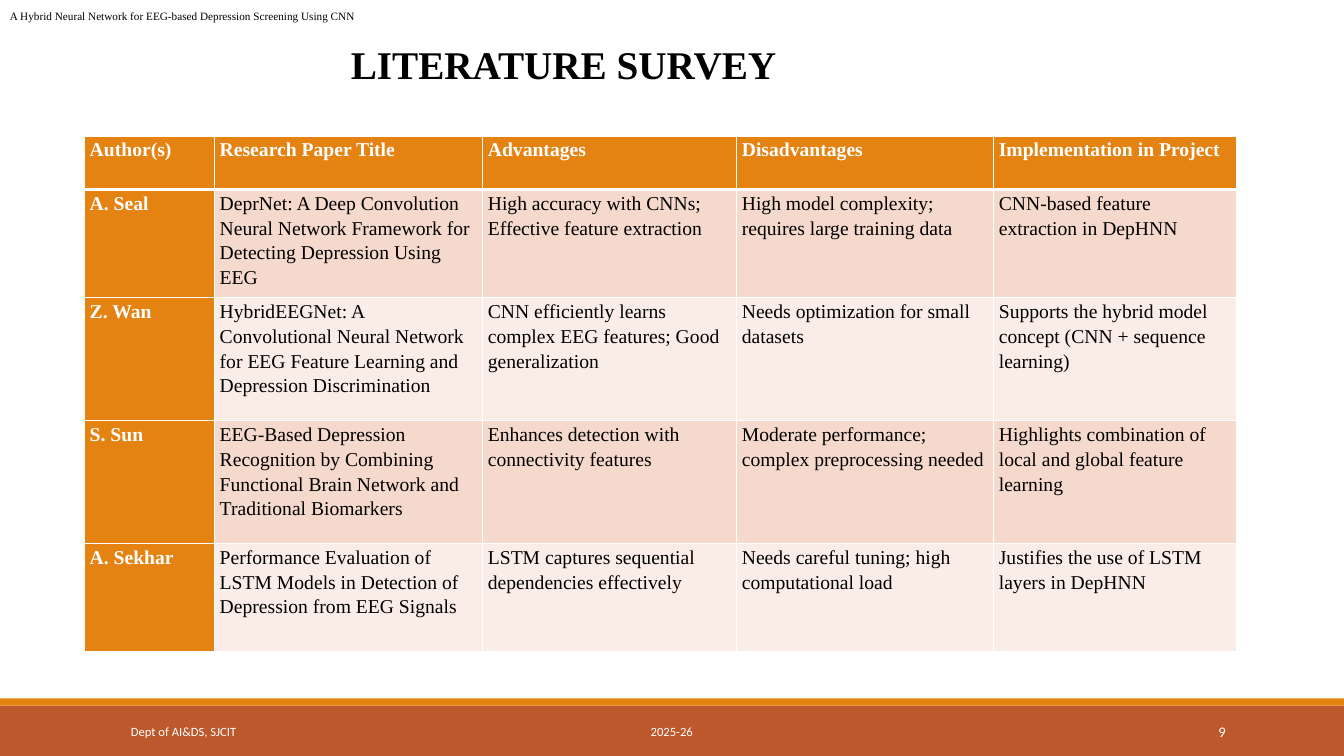
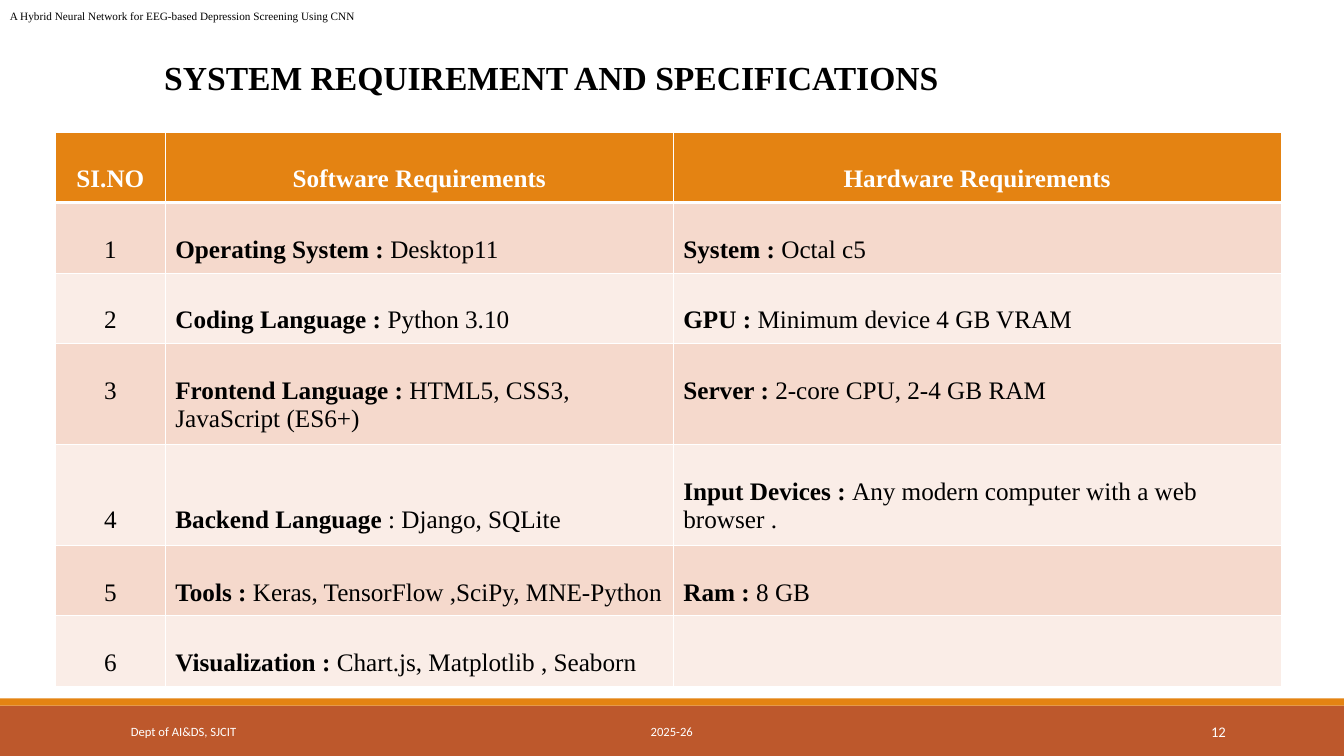
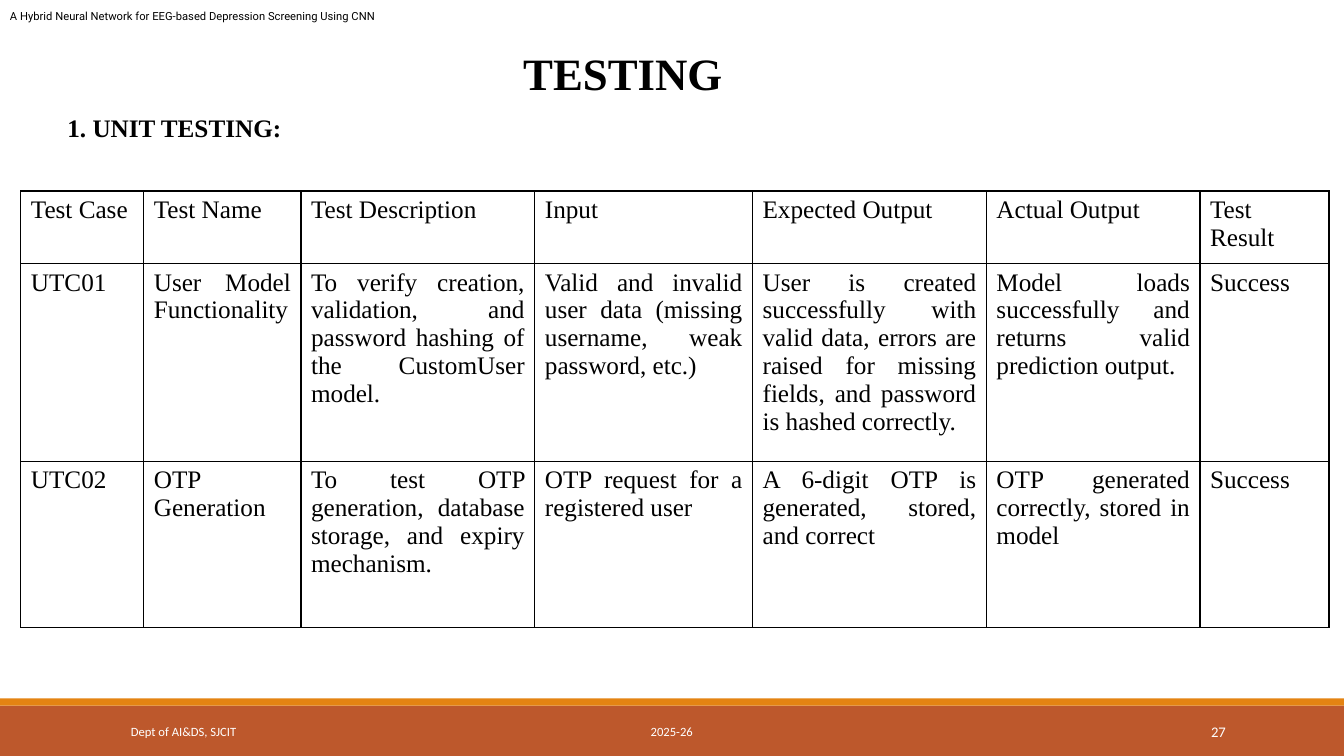
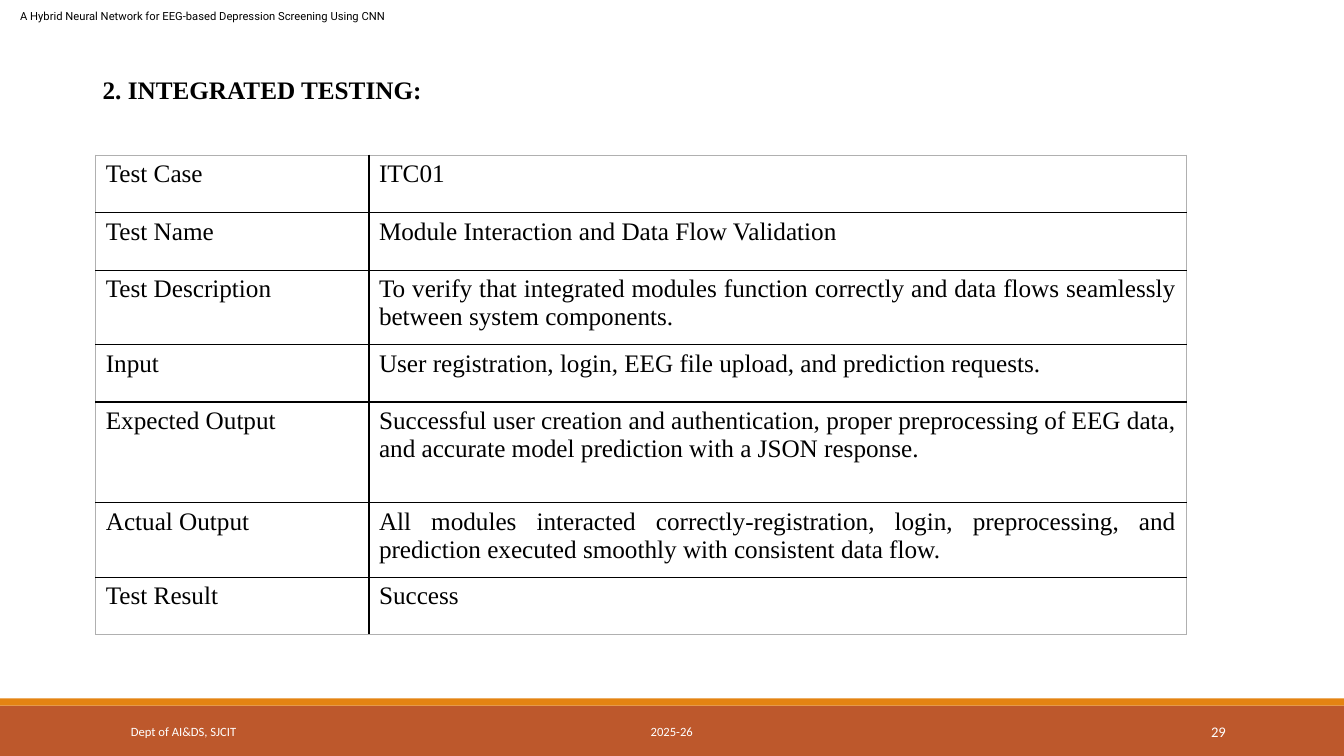
"""Builds four slides of literature, requirement and testing tables."""
from lxml.etree import SubElement
from pptx import Presentation
from pptx.dml.color import RGBColor
from pptx.enum.shapes import MSO_SHAPE as Shape
from pptx.enum.text import MSO_ANCHOR as Anchor, PP_ALIGN as Align
from pptx.oxml.ns import qn
from pptx.util import Inches, Pt

COLORS = {
    "white": "FFFFFF",
    "black": "000000",
    "gray": "B0B0B0",
    "orange": "E48312",
    "rust": "BD582C",
    "peach": "F5D9CC",
    "blush": "FAEDE7",
}
SERIF = "Times New Roman"
HEADER = "A Hybrid Neural Network for EEG-based Depression Screening Using CNN"

presentation = Presentation()
presentation.slide_width = Inches(13.333)
presentation.slide_height = Inches(7.5)
COLUMN = presentation.slide_width / 40
ROW = presentation.slide_height / 30


def write(frame, text, lead="", size=18, font=SERIF, color="black", bold=False,
          align=Align.LEFT, spacing=None, after=None):
    """Fill the first paragraph of a frame, with an optional bold lead-in."""
    frame.word_wrap = True
    paragraph = frame.paragraphs[0]
    paragraph.alignment = align
    paragraph.line_spacing = spacing
    paragraph.space_after = None if after is None else Pt(after)
    for part, is_bold in ((lead, True), (text, bold)):
        if part:
            run = paragraph.add_run()
            run.text = part
            run.font.size = Pt(size)
            run.font.name = font
            run.font.bold = is_bold
            run.font.color.rgb = RGBColor.from_string(COLORS[color])


def place(left, top, width, height):
    """Turn grid columns and rows into a position and a size."""
    return [round(length) for length in
            (left * COLUMN, top * ROW, width * COLUMN, height * ROW)]


survey = [
    ["Author(s)", "Research Paper Title", "Advantages", "Disadvantages",
     "Implementation in Project"],
    ["A. Seal",
     "DeprNet: A Deep Convolution Neural Network Framework for Detecting Depression Using EEG",
     "High accuracy with CNNs; Effective feature extraction",
     "High model complexity; requires large training data",
     "CNN-based feature extraction in DepHNN"],
    ["Z. Wan",
     "HybridEEGNet: A Convolutional Neural Network for EEG Feature Learning and "
     "Depression Discrimination",
     "CNN efficiently learns complex EEG features; Good generalization",
     "Needs optimization for small datasets",
     "Supports the hybrid model concept (CNN + sequence learning)"],
    ["S. Sun",
     "EEG-Based Depression Recognition by Combining Functional Brain Network and "
     "Traditional Biomarkers",
     "Enhances detection with connectivity features",
     "Moderate performance; complex preprocessing needed",
     "Highlights combination of local and global feature learning"],
    ["A. Sekhar",
     "Performance Evaluation of LSTM Models in Detection of Depression from EEG Signals",
     "LSTM captures sequential dependencies effectively",
     "Needs careful tuning; high computational load",
     "Justifies the use of LSTM layers in DepHNN"],
]
requirements = [
    ["SI.NO", "Software Requirements", "Hardware Requirements"],
    ["1", ("Operating System : ", "Desktop11"), ("System : ", "Octal c5")],
    ["2", ("Coding Language : ", "Python 3.10"), ("GPU : ", "Minimum device 4 GB VRAM")],
    ["3", ("Frontend Language : ", "HTML5, CSS3, JavaScript (ES6+)"),
     ("Server : ", "2-core CPU, 2-4 GB RAM")],
    ["4", ("Backend Language ", ": Django, SQLite"),
     ("Input Devices : ", "Any modern computer with a web browser .")],
    ["5", ("Tools : ", "Keras, TensorFlow ,SciPy, MNE-Python"), ("Ram : ", "8 GB")],
    ["6", ("Visualization : ", "Chart.js, Matplotlib , Seaborn"), ""],
]
unit_tests = [
    ["Test Case", "Test Name", "Test Description", "Input", "Expected Output",
     "Actual Output", "Test Result"],
    ["UTC01", "User Model Functionality",
     "To verify creation, validation, and password hashing of the CustomUser model.",
     "Valid and invalid user data (missing username, weak password, etc.)",
     "User is created successfully with valid data, errors are raised for missing fields, "
     "and password is hashed correctly.",
     "Model loads successfully and returns valid prediction output.", "Success"],
    ["UTC02", "OTP Generation",
     "To test OTP generation, database storage, and expiry mechanism.",
     "OTP request for a registered user",
     "A 6-digit OTP is generated, stored, and correct",
     "OTP generated correctly, stored in model", "Success"],
]
integrated_test = [
    ["Test Case", "ITC01"],
    ["Test Name", "Module Interaction and Data Flow Validation"],
    ["Test Description",
     "To verify that integrated modules function correctly and data flows seamlessly "
     "between system components."],
    ["Input", "User registration, login, EEG file upload, and prediction requests."],
    ["Expected Output",
     "Successful user creation and authentication, proper preprocessing of EEG data, "
     "and accurate model prediction with a JSON response."],
    ["Actual Output",
     "All modules interacted correctly-registration, login, preprocessing, and prediction "
     "executed smoothly with consistent data flow."],
    ["Test Result", "Success"],
]

title_style = {"bold": True, "align": Align.CENTER}
section_style = {"bold": True, "align": Align.JUSTIFY, "spacing": 1.5}
pages = [
    {"number": "9", "header": (0, SERIF), "table": survey, "corner": (2.52, 5.4),
     "columns": [3.87, 7.98, 7.56, 7.65, 7.23], "rows": [2.12, 4.28, 4.88, 4.88, 4.28],
     "banded": True, "outline": "white",
     "cell": {"size": 14, "spacing": 1.15, "after": 10},
     "titles": [("LITERATURE SURVEY", (1.35, 1.4, 30.84, 2.28),
                 {**title_style, "size": 28})]},
    {"number": "12", "header": (0, SERIF), "table": requirements, "corner": (1.65, 5.24),
     "columns": [3.27, 15.12, 18.09], "rows": [2.8, 2.8, 2.8, 4, 4, 2.8, 2.8],
     "banded": True, "outline": "white", "cell": {},
     "titles": [("SYSTEM REQUIREMENT AND SPECIFICATIONS", (0.99, 2.08, 30.84, 1.84),
                 {**title_style, "size": 24})]},
    {"number": "27", "header": (0, "Roboto"), "table": unit_tests, "corner": (0.62, 7.58),
     "columns": [3.66, 4.68, 6.96, 6.48, 6.96, 6.36, 3.84], "rows": [2.88, 7.84, 6.6],
     "banded": False, "outline": "black", "cell": {"align": Align.JUSTIFY},
     "titles": [("TESTING", (1.95, 1.6, 33.18, 2.56), {**title_style, "size": 32}),
                ("1. UNIT TESTING:", (1.71, 3.68, 20, 2), section_style)]},
    {"number": "29", "header": (0.3, "Roboto"), "table": integrated_test,
     "corner": (2.85, 6.16), "columns": [8.13, 24.33],
     "rows": [2.28, 2.28, 2.96, 2.28, 4, 2.96, 2.28],
     "banded": False, "outline": "gray", "cell": {"align": Align.JUSTIFY},
     "titles": [("2. INTEGRATED TESTING:", (2.76, 2.16, 27.6, 2), section_style)]},
]

for page in pages:
    slide = presentation.slides.add_slide(presentation.slide_layouts[6])

    for color, top, height in (("rust", 28, 2), ("orange", 27.72, 0.28)):
        band = slide.shapes.add_shape(Shape.RECTANGLE, *place(0, top, 40, height))
        band.shadow.inherit = False
        band.fill.solid()
        band.fill.fore_color.rgb = RGBColor.from_string(COLORS[color])
        band.line.fill.background()

    footers = [("Dept of AI&DS, SJCIT", 3.6, 8.1, 9, Align.LEFT),
               ("2025-26", 12.09, 15.81, 9, Align.CENTER),
               (page["number"], 32.49, 4.29, 10.5, Align.RIGHT)]
    for text, left, width, size, align in footers:
        footer = slide.shapes.add_textbox(*place(left, 28.24, width, 1.6))
        footer.text_frame.vertical_anchor = Anchor.MIDDLE
        write(footer.text_frame, text, size=size, font="Calibri", color="white", align=align)

    header_left, header_font = page["header"]
    header = slide.shapes.add_textbox(*place(header_left, 0.16, 29.7, 0.96))
    write(header.text_frame, HEADER, size=8, font=header_font)

    for text, box, style in page["titles"]:
        title = slide.shapes.add_textbox(*place(*box))
        write(title.text_frame, text, **style)

    columns, rows = page["columns"], page["rows"]
    frame = slide.shapes.add_table(len(rows), len(columns),
                                   *place(*page["corner"], sum(columns), sum(rows)))
    table = frame.table
    table.first_row = table.horz_banding = False
    for column, width in zip(table.columns, columns):
        column.width = round(width * COLUMN)
    for row, height in zip(table.rows, rows):
        row.height = round(height * ROW)

    for row_index, values in enumerate(page["table"]):
        for column_index, value in enumerate(values):
            cell = table.cell(row_index, column_index)
            lead, text = value if isinstance(value, tuple) else ("", value)
            style = dict(page["cell"])
            accent = page["banded"] and row_index == 0
            if page["table"] is survey:
                accent = accent or column_index == 0
                cell.margin_left = cell.margin_right = Inches(0.05)
                cell.margin_top = cell.margin_bottom = 0
            if page["table"] is requirements:
                lowered = row_index == 4 and column_index < 2
                cell.margin_top = Inches(0.61 if lowered else 0.33)
                if row_index == 0 or column_index == 0:
                    style["align"] = Align.CENTER
            if accent:
                style.update(color="white", bold=True)
            write(cell.text_frame, text, lead=lead, **style)

            properties = cell._tc.get_or_add_tcPr()
            edges = {"L": column_index == 0, "R": column_index == len(columns) - 1,
                     "T": row_index == 0, "B": row_index == len(rows) - 1}
            for side, outer in edges.items():
                under_header = (side, row_index) in (("B", 0), ("T", 1))
                points = 3 if page["banded"] and under_header else 1
                inner_color = "white" if page["banded"] else "black"
                line = SubElement(properties, qn(f"a:ln{side}"), w=str(Pt(points)))
                fill = SubElement(line, qn("a:solidFill"))
                SubElement(fill, qn("a:srgbClr"),
                           val=COLORS[page["outline"] if outer else inner_color])

            if page["banded"]:
                band_color = "peach" if row_index % 2 else "blush"
                cell.fill.solid()
                cell.fill.fore_color.rgb = RGBColor.from_string(
                    COLORS["orange" if accent else band_color])
            else:
                cell.fill.background()

presentation.save("out.pptx")
